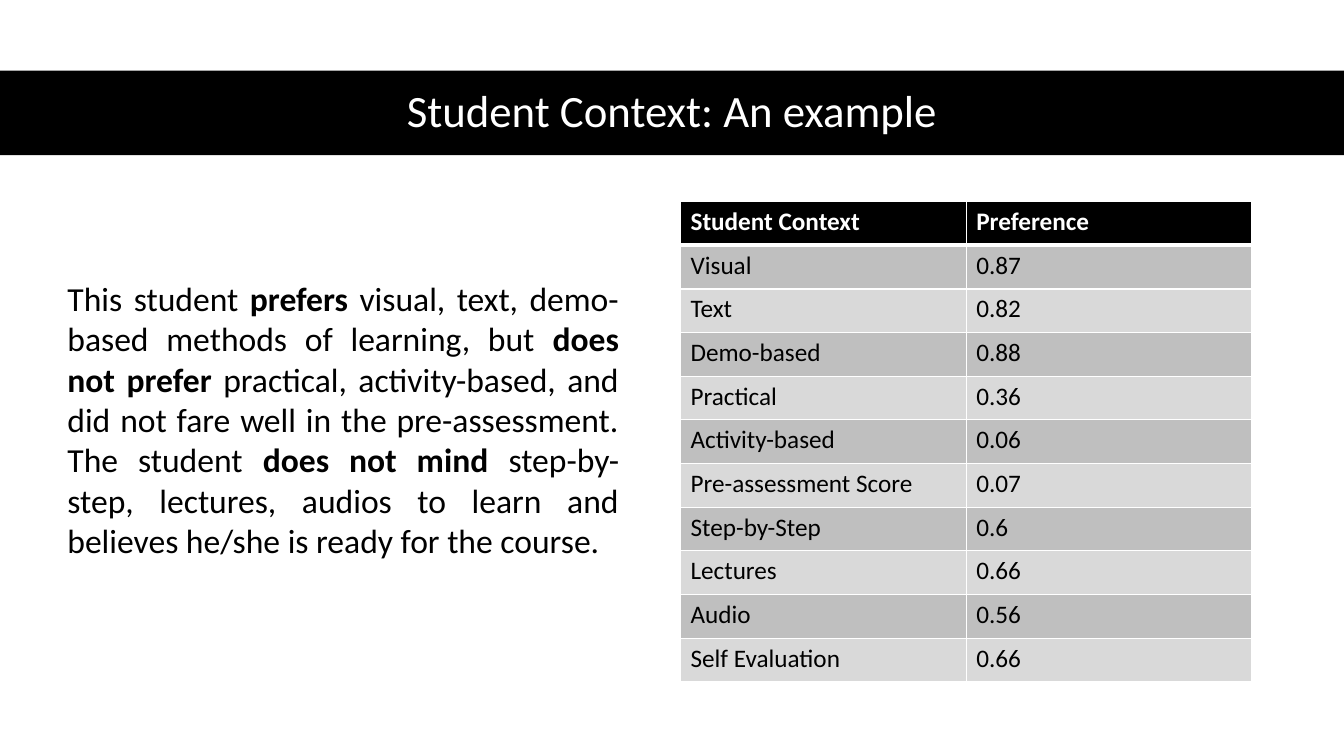
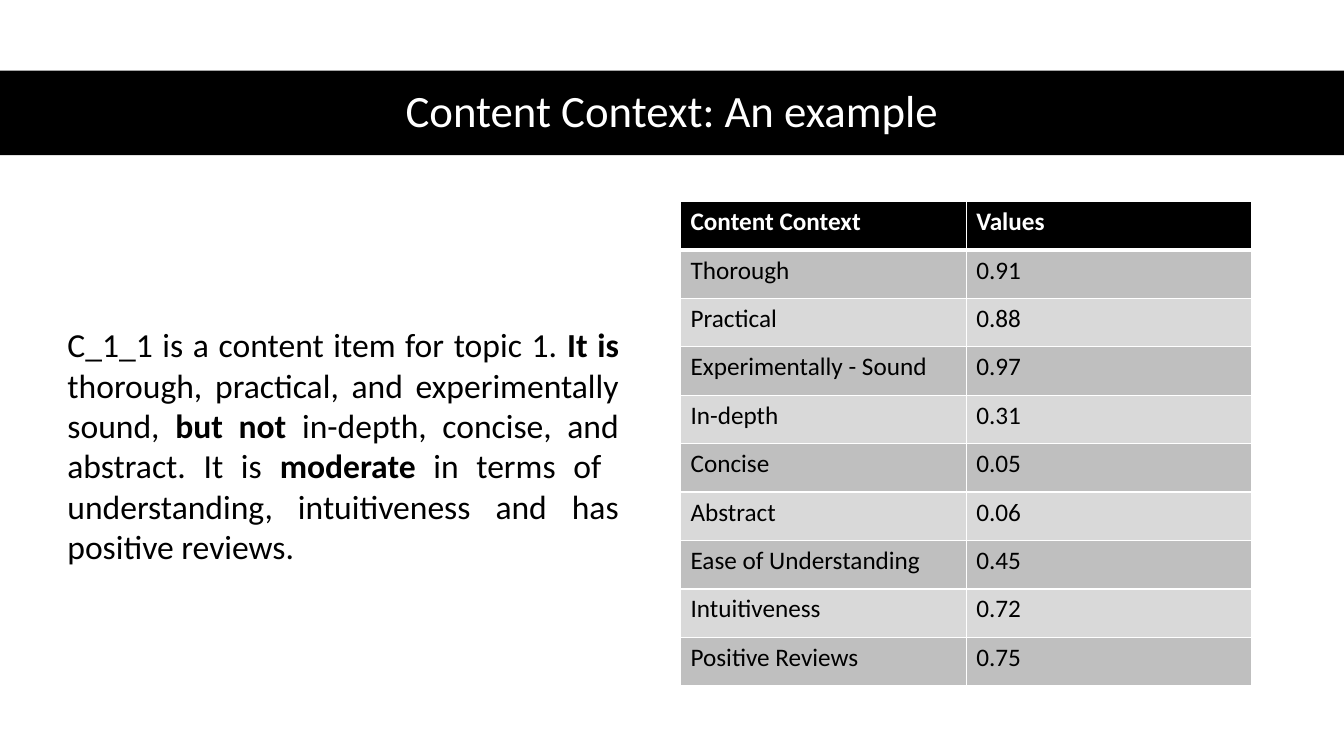
from lxml import etree
from pptx import Presentation
from pptx import util as u
from pptx.dml.color import RGBColor
from pptx.enum import shapes, text
from pptx.oxml import ns

# Shared look
BLACK = RGBColor(0x00, 0x00, 0x00)
WHITE = RGBColor(0xFF, 0xFF, 0xFF)
DARK_GREY = RGBColor(0xBF, 0xBF, 0xBF)
LIGHT_GREY = RGBColor(0xD9, 0xD9, 0xD9)
FONT = "Calibri"
SLIDE_WIDTH, SLIDE_HEIGHT = u.Cm(33.87), u.Cm(19.05)
COLUMN_WIDTH = u.Cm(14.4)
THIN, THICK = u.Pt(1), u.Pt(3)

# Content: **double stars** mark bold passages
SLIDES = [
    {
        "title": "Student Context: An example",
        "summary": "This student **prefers** visual, text, demo-based methods of "
                   "learning, but **does not prefer** practical, activity-based, and "
                   "did not fare well in the pre-assessment. The student **does not "
                   "mind **step-by-step, lectures, audios to learn and believes "
                   "he/she is ready for the course.",
        "summary_top": u.Cm(6.88),
        "summary_height": u.Cm(7.44),
        "row_height": u.Cm(1.1),
        "rows": [
            ("Student Context", "Preference"),
            ("Visual", "0.87"),
            ("Text", "0.82"),
            ("Demo-based", "0.88"),
            ("Practical", "0.36"),
            ("Activity-based", "0.06"),
            ("Pre-assessment Score", "0.07"),
            ("Step-by-Step", "0.6"),
            ("Lectures", "0.66"),
            ("Audio", "0.56"),
            ("Self Evaluation", "0.66"),
        ],
    },
    {
        "title": "Content Context: An example",
        "summary": "C_1_1 is a content item for topic 1. **It is **thorough, "
                   "practical, and experimentally sound, **but not **in-depth, "
                   "concise, and abstract. It is **moderate** in terms of  "
                   "understanding, intuitiveness and has positive reviews.",
        "summary_top": u.Cm(8.05),
        "summary_height": u.Cm(6.4),
        "row_height": u.Cm(1.22),
        "rows": [
            ("Content Context", "Values"),
            ("Thorough", "0.91"),
            ("Practical", "0.88"),
            ("Experimentally - Sound", "0.97"),
            ("In-depth", "0.31"),
            ("Concise", "0.05"),
            ("Abstract", "0.06"),
            ("Ease of Understanding", "0.45"),
            ("Intuitiveness", "0.72"),
            ("Positive Reviews", "0.75"),
        ],
    },
]


def style_run(run, size, color, bold=False):
    run.font.name = FONT
    run.font.size = u.Pt(size)
    run.font.color.rgb = color
    run.font.bold = bold


def add_title_band(slide, title):
    band = slide.shapes.add_shape(shapes.MSO_SHAPE.RECTANGLE,
                                  0, u.Cm(1.78), SLIDE_WIDTH, u.Cm(2.13))
    band.shadow.inherit = False
    band.fill.solid()
    band.fill.fore_color.rgb = BLACK
    band.line.fill.background()
    band.text_frame.text = title
    band.text_frame.vertical_anchor = text.MSO_ANCHOR.MIDDLE
    paragraph = band.text_frame.paragraphs[0]
    paragraph.alignment = text.PP_ALIGN.CENTER
    paragraph.line_spacing = 0.9
    style_run(paragraph.runs[0], 32, WHITE)


def add_summary(slide, summary, top, height):
    box = slide.shapes.add_textbox(u.Cm(1.45), top, COLUMN_WIDTH, height)
    box.text_frame.word_wrap = True
    box.text_frame.auto_size = text.MSO_AUTO_SIZE.SHAPE_TO_FIT_TEXT
    paragraph = box.text_frame.paragraphs[0]
    paragraph.alignment = text.PP_ALIGN.JUSTIFY
    for index, passage in enumerate(summary.split("**")):
        run = paragraph.add_run()
        run.text = passage
        style_run(run, 24, BLACK, bold=index % 2 == 1)


def set_borders(cell, top, bottom):
    properties = cell._tc.get_or_add_tcPr()
    widths = {"a:lnL": THIN, "a:lnR": THIN, "a:lnT": top, "a:lnB": bottom}
    for tag, width in widths.items():
        line = etree.SubElement(properties, ns.qn(tag), w=str(int(width)))
        fill = etree.SubElement(line, ns.qn("a:solidFill"))
        etree.SubElement(fill, ns.qn("a:srgbClr"), val=str(WHITE))


def add_value_table(slide, rows, row_height):
    frame = slide.shapes.add_table(len(rows), len(rows[0]), u.Cm(17.15), u.Cm(5.08),
                                   COLUMN_WIDTH, row_height * len(rows))
    table = frame.table
    table.horz_banding = False
    for row_index, values in enumerate(rows):
        table.rows[row_index].height = row_height
        header = row_index == 0
        banding = DARK_GREY if row_index % 2 else LIGHT_GREY
        for column_index, value in enumerate(values):
            cell = table.cell(row_index, column_index)
            # The heavy rule is shared by the header and the first body row
            set_borders(cell, top=THICK if row_index == 1 else THIN,
                        bottom=THICK if header else THIN)
            cell.fill.solid()
            cell.fill.fore_color.rgb = BLACK if header else banding
            cell.text_frame.text = value
            style_run(cell.text_frame.paragraphs[0].runs[0], 18,
                      WHITE if header else BLACK, bold=header)


def main():
    presentation = Presentation()
    presentation.slide_width = SLIDE_WIDTH
    presentation.slide_height = SLIDE_HEIGHT
    for content in SLIDES:
        slide = presentation.slides.add_slide(presentation.slide_layouts[6])
        add_value_table(slide, content["rows"], content["row_height"])
        add_summary(slide, content["summary"], content["summary_top"],
                    content["summary_height"])
        add_title_band(slide, content["title"])
    presentation.save("out.pptx")


if __name__ == "__main__":
    main()
